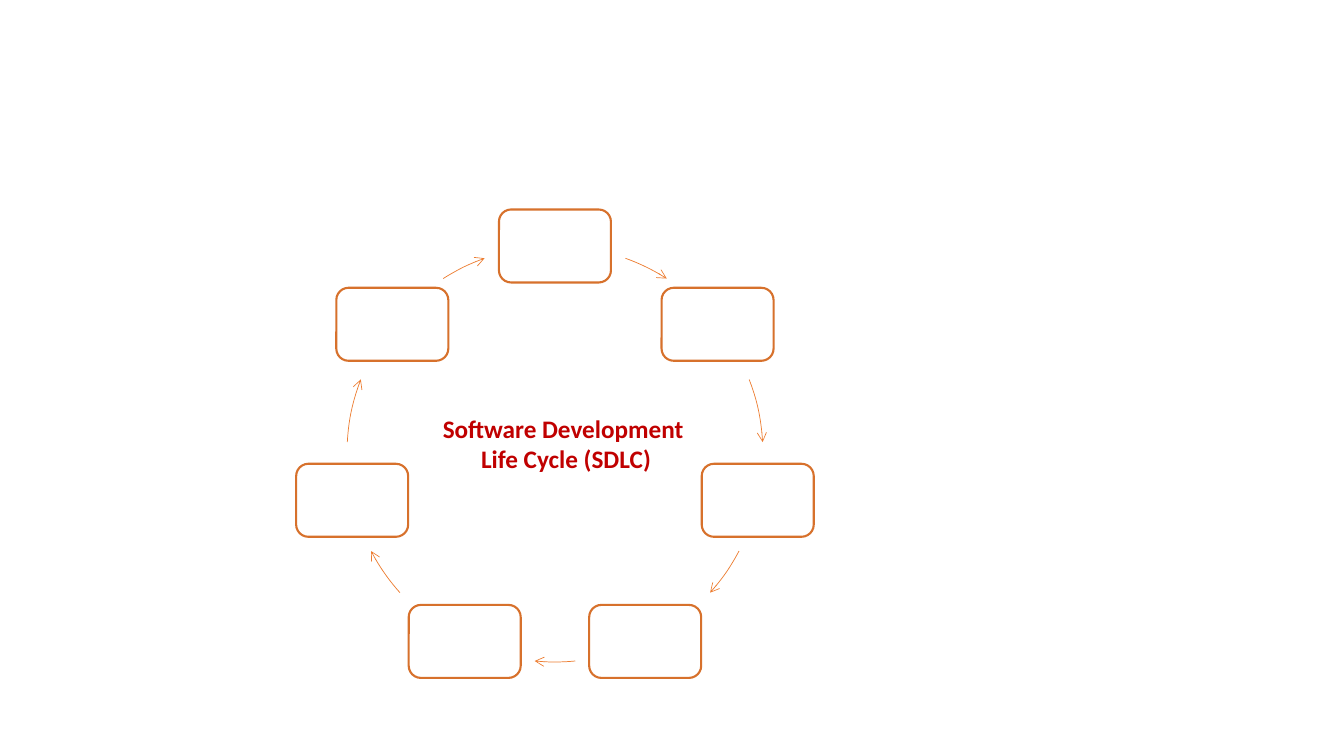
"""Build the software development life cycle slide."""
from math import cos, pi, sin

from lxml import etree
from pptx import Presentation
from pptx.dml.color import RGBColor
from pptx.enum.shapes import MSO_SHAPE
from pptx.enum.text import MSO_ANCHOR, PP_ALIGN
from pptx.oxml.ns import qn
from pptx.util import Pt

ARC, BOX = MSO_SHAPE.ARC, MSO_SHAPE.ROUNDED_RECTANGLE
MIDDLE, CENTER = MSO_ANCHOR.MIDDLE, PP_ALIGN.CENTER

TITLE = ["Software Development ", "Life Cycle (SDLC)"]
TITLE_AT = (417, 400, 298, 87)
TITLE_FONT = {"name": "Calibri", "size": Pt(18), "bold": True}
FRAME = {"word_wrap": True, "vertical_anchor": MIDDLE}
SLIDE = (1344, 756)
HUB = (555, 454)
RADIUS = 208
STEP = (112, 73)
STEPS = 7
ARROWS = [(19.8, 32.5), (69, 86.7), (117.8, 131.8), (174.4, 185.6),
          (228.2, 242.2), (273.3, 291), (327.5, 340.2)]
WHITE, RED, RUST, ORANGE = "FFFFFF", "C00000", "D7712C", "ED7D31"


def px(n):
    return round(n * 914400 / 100.8)


def color(code):
    return RGBColor.from_string(code)


def style(item, values):
    for name, value in values.items():
        setattr(item, name, value)


def add(slide, kind, mid, size, line, width):
    (x, y), (w, h) = mid, size
    spot = [px(n) for n in (x - w / 2, y - h / 2, w, h)]
    shape = slide.shapes.add_shape(kind, *spot)
    shape.shadow.inherit = False
    shape.line.color.rgb = color(line)
    shape.line.width = Pt(width)
    return shape


def add_step(slide, i):
    turn = 2 * pi * i / STEPS
    mid = HUB[0] + RADIUS * sin(turn), HUB[1] - RADIUS * cos(turn)
    box = add(slide, BOX, mid, STEP, RUST, 1.5)
    box.fill.solid()
    box.fill.fore_color.rgb = color(WHITE)


def add_arrow(slide, ends):
    arc = add(slide, ARC, HUB, (2 * RADIUS, 2 * RADIUS), ORANGE, 0.5)
    arc.fill.background()
    for i, turn in enumerate(ends):
        arc.adjustments[i] = (turn - 90) % 360 * 0.6
    line = arc.line._get_or_add_ln()
    etree.SubElement(line, qn("a:tailEnd"), type="arrow")


def add_title(slide):
    box = slide.shapes.add_textbox(*[px(n) for n in TITLE_AT])
    frame = box.text_frame
    style(frame, FRAME)
    frame.text = "\n".join(TITLE)
    for para in frame.paragraphs:
        para.alignment = CENTER
        font = para.runs[0].font
        style(font, TITLE_FONT)
        font.color.rgb = color(RED)


def main():
    deck = Presentation()
    deck.slide_width, deck.slide_height = [px(n) for n in SLIDE]
    slide = deck.slides.add_slide(deck.slide_layouts[6])
    for i, ends in enumerate(ARROWS):
        add_step(slide, i)
        add_arrow(slide, ends)
    add_title(slide)
    deck.save("out.pptx")


if __name__ == "__main__":
    main()
